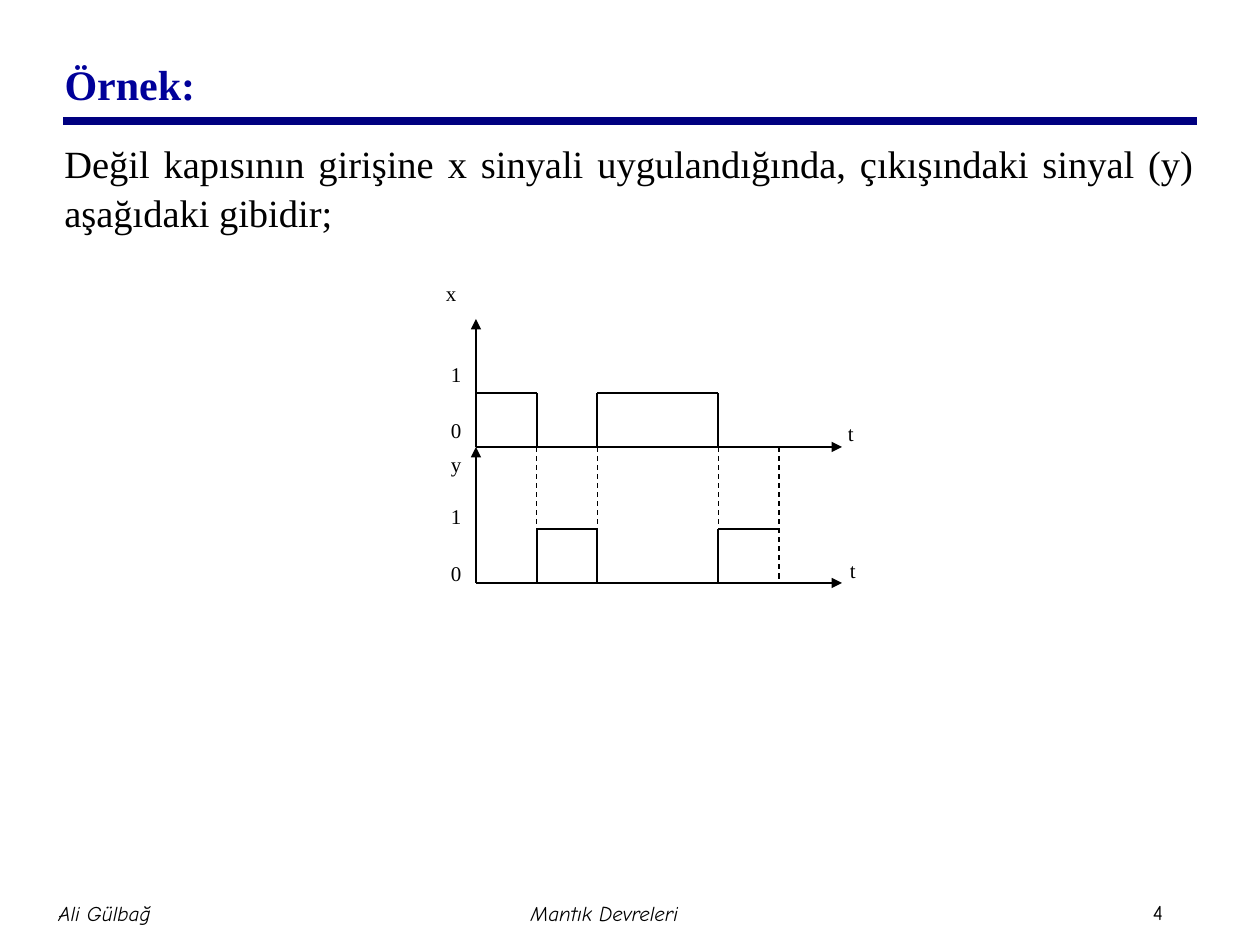
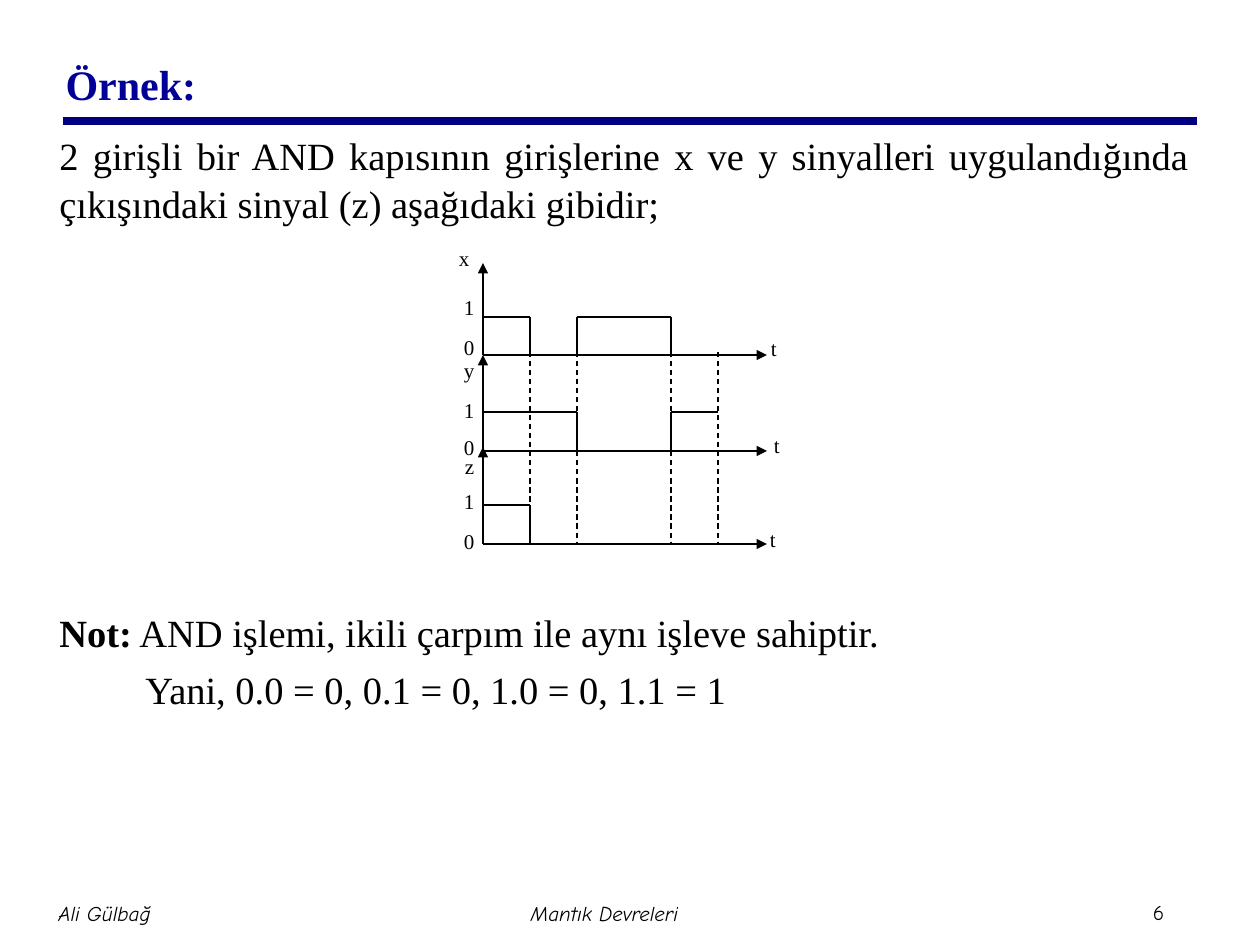
"""Two slides on logic gates, each with a timing diagram."""
from itertools import pairwise

from lxml.etree import SubElement
from pptx import Presentation
from pptx.dml.color import RGBColor
from pptx.enum.dml import MSO_LINE
from pptx.enum.shapes import MSO_CONNECTOR
from pptx.enum.text import MSO_ANCHOR, MSO_AUTO_SIZE, PP_ALIGN as AL
from pptx.oxml.ns import qn
from pptx.util import Emu, Pt

SERIF, COMIC = "Times New Roman", "Comic Neue"
BLACK, NAVY, BLUE = "000000", "000080", "000099"
FOOTERS = [("Ali Gülbağ", (0, 882, 209, 63)),
           ("Mantık Devreleri", (379, 882, 451, 63))]
NUMBER_BOX = (1147, 893, 59, 38)
TICKS = (0, 1, 2, 4, 5)

SLIDES = [
    dict(number="4", title="Örnek:", title_left=52, body_box=(52, 132, 1154, 110),
         body="Değil kapısının girişine x sinyali uygulandığında, "
              "çıkışındaki sinyal (y) aşağıdaki gibidir;",
         notes=[], start=476, end=779, axis_end=842, dashes=(447, 583),
         signals=[
             dict(bits=(1, 0, 1, 0), top=319, high=393, base=447,
                  labels=[("x", 446, 281), ("1", 451, 362), ("0", 451, 418), ("t", 848, 421)]),
             dict(bits=(0, 1, 0, 1), top=447, high=529, base=583,
                  labels=[("y", 451, 452), ("1", 451, 504), ("0", 451, 561), ("t", 850, 558)]),
         ]),
    dict(number="6", title="Örnek:", title_left=53, body_box=(47, 123, 1154, 110),
         body="2 girişli bir AND kapısının girişlerine x ve y sinyalleri "
              "uygulandığında çıkışındaki sinyal (z) aşağıdaki gibidir;",
         notes=[(0, [("Not:", True), (" AND işlemi, ikili çarpım ile aynı işleve sahiptir.", False)]),
                (86, [("Yani, 0.0 = 0, 0.1 = 0, 1.0 = 0, 1.1 = 1", False)])],
         notes_box=(47, 601, 1154, 120),
         start=483, end=718, axis_end=767, dashes=(352, 543),
         signals=[
             dict(bits=(1, 0, 1, 0), top=263, high=317, base=355,
                  labels=[("x", 459, 246), ("1", 464, 295), ("0", 464, 335), ("t", 771, 336)]),
             dict(bits=(1, 1, 0, 1), top=355, high=412, base=451,
                  labels=[("y", 464, 358), ("1", 464, 398), ("0", 464, 435), ("t", 774, 433)]),
             dict(bits=(1, 0, 0, 0), top=447, high=505, base=544,
                  labels=[("z", 465, 454), ("1", 464, 489), ("0", 464, 529), ("t", 770, 527)]),
         ]),
]


def px(n):
    return Emu(round(n * 914400 / 126))


def rgb(code):
    return RGBColor.from_string(code)


def add_run(p, text, size, font=SERIF, color=BLACK, bold=False, italic=False):
    r = p.add_run()
    r.text = text
    f = r.font
    f.size, f.name, f.bold, f.italic = Pt(size), font, bold, italic
    f.color.rgb = rgb(color)


def add_box(s, box, inset=None, anchor=MSO_ANCHOR.TOP):
    tf = s.shapes.add_textbox(*map(px, box)).text_frame
    tf.word_wrap, tf.vertical_anchor = True, anchor
    if inset is not None:
        tf.margin_left = tf.margin_right = tf.margin_top = tf.margin_bottom = px(inset)
    return tf


def add_line(s, x1, y1, x2, y2, width, color=BLACK, dash=False, arrow=False):
    c = s.shapes.add_connector(MSO_CONNECTOR.STRAIGHT, *map(px, (x1, y1, x2, y2)))
    c.line.width, c.line.color.rgb = Pt(width), rgb(color)
    if dash:
        c.line.dash_style = MSO_LINE.DASH
    if arrow:
        SubElement(c.line._get_or_add_ln(), qn("a:tailEnd"), type="triangle")
    SubElement(c._element.spPr, qn("a:effectLst"))


def add_frame(s, number, title, left):
    sp = s.shapes.title
    sp.left, sp.top, sp.width, sp.height = map(px, (left, 30, 1071, 108))
    tf = sp.text_frame
    tf.auto_size, tf.vertical_anchor = MSO_AUTO_SIZE.NONE, MSO_ANCHOR.MIDDLE
    p = tf.paragraphs[0]
    p.alignment = AL.LEFT
    add_run(p, title, 24, color=BLUE, bold=True)
    add_line(s, 63, 121, 1197, 121, 4.5, NAVY)
    for text, box in FOOTERS:
        p = add_box(s, box, 6, MSO_ANCHOR.MIDDLE).paragraphs[0]
        p.alignment = AL.CENTER
        add_run(p, text, 12, COMIC, italic=True)
    add_run(add_box(s, NUMBER_BOX, 6, MSO_ANCHOR.MIDDLE).paragraphs[0], number, 12, COMIC)


def add_body(s, box, paragraphs, align):
    tf = add_box(s, box)
    for i, (indent, runs) in enumerate(paragraphs):
        p = tf.add_paragraph() if i else tf.paragraphs[0]
        p.alignment, p.line_spacing, p.space_before = align, 1.05, Pt(4.4)
        p._p.get_or_add_pPr().set("marL", str(px(indent)))
        for text, bold in runs:
            add_run(p, text, 22, bold=bold)


def add_diagram(s, start, end, axis_end, dashes, signals):
    step = (end - start) / TICKS[-1]
    edges = [start + step * t for t in TICKS]
    for x in edges[1:]:
        add_line(s, x, dashes[0], x, dashes[1], 0.75, dash=True)
    for sig in signals:
        base = sig["base"]
        add_line(s, start, base, start, sig["top"], 0.75, arrow=True)
        add_line(s, start, base, axis_end, base, 0.75, arrow=True)
        levels = [sig["high"] if bit else base for bit in sig["bits"]]
        for (x1, x2), y in zip(pairwise(edges), levels):
            add_line(s, x1, y, x2, y, 1.25)
        for x, (y1, y2) in zip(edges[1:], pairwise(levels)):
            if y1 != y2:
                add_line(s, x, y1, x, y2, 1.25)
        for text, x, y in sig["labels"]:
            add_run(add_box(s, (x, y, 24, 38), 0).paragraphs[0], text, 12)


def main():
    prs = Presentation()
    prs.slide_width, prs.slide_height = px(1260), px(945)
    for d in SLIDES:
        s = prs.slides.add_slide(prs.slide_layouts[5])
        add_frame(s, d["number"], d["title"], d["title_left"])
        add_body(s, d["body_box"], [(0, [(d["body"], False)])], AL.JUSTIFY)
        if d["notes"]:
            add_body(s, d["notes_box"], d["notes"], AL.LEFT)
        add_diagram(s, d["start"], d["end"], d["axis_end"], d["dashes"], d["signals"])
    prs.save("out.pptx")


if __name__ == "__main__":
    main()
